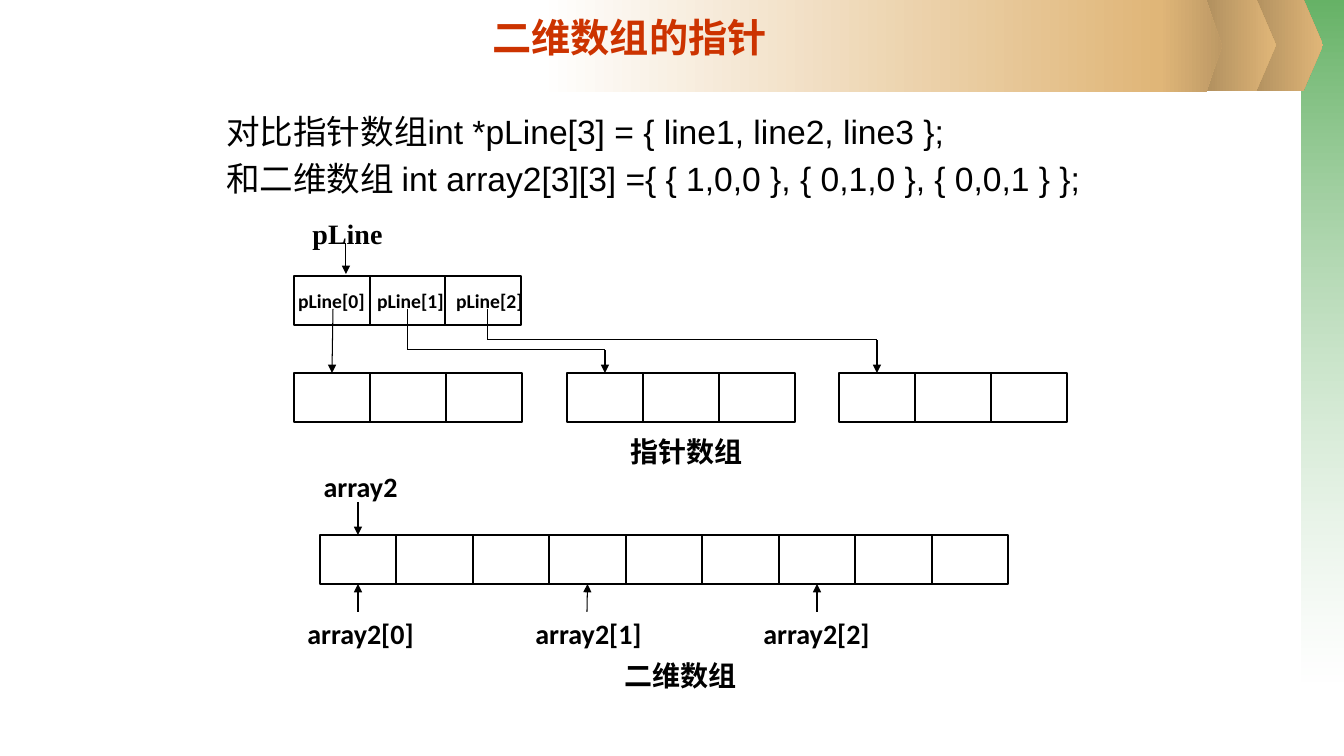
import pptx
import pptx.dml.color
import pptx.enum.shapes
import pptx.enum.text
import pptx.oxml.ns
import pptx.util
from lxml import etree

# Content
TITLE = "二维数组的指针"
COMPARISON = [
    "对比指针数组int *pLine[3] = { line1, line2, line3 };",
    "和二维数组 int array2[3][3] ={ { 1,0,0 }, { 0,1,0 }, { 0,0,1 } };",
]
POINTERS = ["pLine[0]", "pLine[1]", "pLine[2]"]
ROWS = ["array2[0]", "array2[1]", "array2[2]"]
# text, left, top, width, font
CAPTIONS = [
    ("pLine", 283, 212, 129, "Times New Roman"),
    ("指针数组", 568, 430, 237, "Calibri"),
    ("array2", 296, 465, 129, "Calibri"),
    ("二维数组", 562, 654, 237, "Calibri"),
]
# preset, box, gradient colours, angle, opacities
DECORATION = [
    ("RECTANGLE", (1302, 0, 42, 682), ("339933", "FFFFFF"), 90, (75, 37)),
    ("PENTAGON", (1244, -1, 79, 92), ("AB8B5C", "E0B678"), 0, None),
    ("PENTAGON", (1197, -1, 79, 92), ("AB8B5C", "E0B678"), 0, None),
    ("RECTANGLE", (540, 0, 619, 92), ("FFFFFF", "E0B678"), 0, None),
    ("PENTAGON", (1159, 0, 63, 92), ("E0B678", "BD9965"), 0, None),
]
CELL_HEIGHT = 49
LINE_TOP = 373
BLACK = "000000"

EMU_PER_PX = 914400 / 100.8
Pt = pptx.util.Pt
PRESETS = pptx.enum.shapes.MSO_SHAPE
ALIGN = pptx.enum.text.PP_ALIGN
ANCHOR = pptx.enum.text.MSO_ANCHOR
qn = pptx.oxml.ns.qn


def px(*lengths):
    return [round(length * EMU_PER_PX) for length in lengths]


def colour(value):
    return pptx.dml.color.RGBColor.from_string(value)


def set_font(paragraph, name, size, value=BLACK, bold=False):
    paragraph.font.name = name
    paragraph.font.size = Pt(size)
    paragraph.font.bold = bold
    paragraph.font.color.rgb = colour(value)


def place(shape, *box):
    shape.left, shape.top, shape.width, shape.height = px(*box)


def add_label(text, left, top, width, font="Calibri", size=20, anchor=ANCHOR.TOP):
    frame = shapes.add_textbox(*px(left, top, width, 37)).text_frame
    frame.word_wrap = True
    frame.vertical_anchor = anchor
    frame.text = text
    frame.paragraphs[0].alignment = ALIGN.CENTER
    set_font(frame.paragraphs[0], font, size, bold=True)


def add_cells(left, top, width, count):
    edges = [left + round(width * i / count) for i in range(count + 1)]
    cells = []
    for start, end in zip(edges, edges[1:]):
        cell = shapes.add_shape(PRESETS.RECTANGLE, *px(start, top, end - start, CELL_HEIGHT))
        cell.shadow.inherit = False
        cell.fill.background()
        cell.line.color.rgb = colour(BLACK)
        cell.line.width = Pt(1.5)
        cells.append(cell)
    return cells


def add_line(start, end, arrow=False, cell=None, side=0):
    line = shapes.add_connector(pptx.enum.shapes.MSO_CONNECTOR.STRAIGHT, *px(*start, *end))
    line.line.color.rgb = colour(BLACK)
    line.line.width = Pt(0.75)
    if cell is not None:
        line.end_connect(cell, side)
    if arrow:
        etree.SubElement(line.line._get_or_add_ln(), qn("a:tailEnd"), type="triangle")
    etree.SubElement(line._element.spPr, qn("a:effectLst"))


def middle(cell):
    return round((cell.left + cell.width / 2) / EMU_PER_PX)


deck = pptx.Presentation()
deck.slide_width, deck.slide_height = px(1344, 756)
slide = deck.slides.add_slide(deck.slide_layouts[1])
shapes = slide.shapes

# Background bands, behind the placeholders
for depth, (preset, box, colours, angle, opacities) in enumerate(DECORATION):
    band = shapes.add_shape(getattr(PRESETS, preset), *px(*box))
    if preset == "PENTAGON":
        band.adjustments[0] = 0.25
    band.shadow.inherit = False
    band.line.fill.background()
    band.fill.gradient()
    band.fill.gradient_angle = -angle % 360
    for stop, value in zip(band.fill.gradient_stops, colours):
        stop.color.rgb = colour(value)
    if opacities:
        for tint, opacity in zip(band._element.spPr.iter(qn("a:srgbClr")), opacities):
            etree.SubElement(tint, qn("a:alpha"), val=str(opacity * 1000))
    shapes._spTree.insert(2 + depth, band._element)

# Title and comparison
heading = shapes.title
place(heading, 235, 8, 789, 76)
heading.text_frame.text = TITLE
heading.text_frame.vertical_anchor = ANCHOR.TOP
heading.text_frame.auto_size = pptx.enum.text.MSO_AUTO_SIZE.NONE
heading.text_frame.paragraphs[0].alignment = ALIGN.CENTER
set_font(heading.text_frame.paragraphs[0], "Arial", 28, "CC3300", True)

comparison = slide.placeholders[1]
place(comparison, 216, 106, 933, 571)
comparison.text_frame.text = "\n".join(COMPARISON)
comparison.text_frame.auto_size = pptx.enum.text.MSO_AUTO_SIZE.NONE
for i, paragraph in enumerate(comparison.text_frame.paragraphs):
    properties = paragraph._p.get_or_add_pPr()
    indent = px(38)[0]
    properties.set("marL", str(indent))
    properties.set("indent", str(-indent))
    etree.SubElement(properties, qn("a:buNone"))
    paragraph.space_before = Pt(4.8 if i else 0)
    set_font(paragraph, "Arial", 24)

# Pointer array and the three lines it points to
add_cells(294, 276, 227, 3)
first, second, third = [add_cells(left, LINE_TOP, 228, 3)[0] for left in (294, 567, 839)]
for i, name in enumerate(POINTERS):
    add_label(name, 275 + 79 * i, 282, 113, size=14, anchor=ANCHOR.MIDDLE)
add_line((346, 243), (346, 274), arrow=True)
add_line((333, 309), (332, LINE_TOP), True, first)
for start, bend, target in ((408, 350, second), (488, 340, third)):
    end = middle(target)
    add_line((start, 309), (start, bend))
    add_line((start, bend), (end, bend))
    add_line((end, bend), (end, LINE_TOP), True, target)

# Two-dimensional array
elements = add_cells(320, 535, 688, 9)
add_line((middle(elements[0]), 502), (middle(elements[0]), 535), True, elements[0])
for i, name in enumerate(ROWS):
    row_start = elements[3 * i]
    add_label(name, 296 + 228 * i, 612, 129)
    add_line((middle(row_start), 612), (middle(row_start), 584), True, row_start, 2)

# Captions
for text, left, top, width, font in CAPTIONS:
    add_label(text, left, top, width, font)

deck.save("out.pptx")
